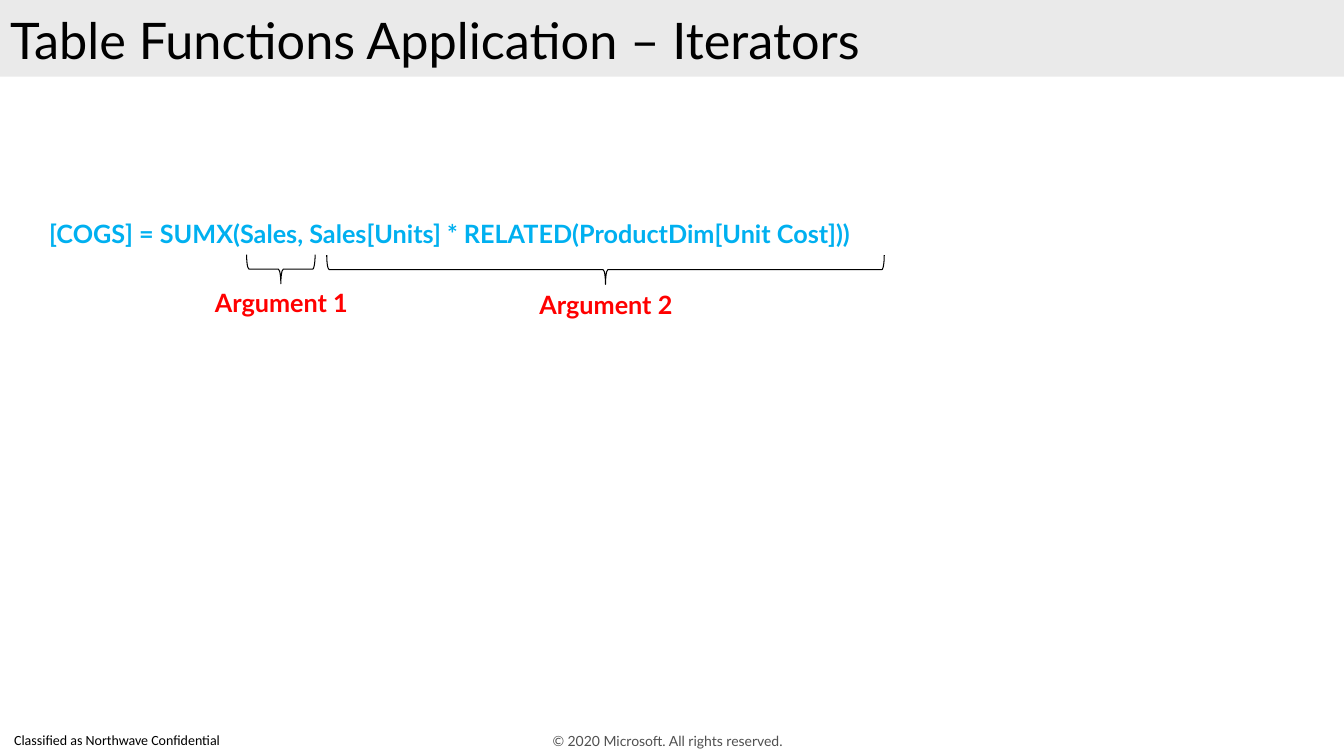
from typing import NamedTuple

from pptx import Presentation
from pptx.dml.color import RGBColor
from pptx.enum.shapes import MSO_SHAPE as Shape
from pptx.enum.text import MSO_ANCHOR as Anchor, MSO_AUTO_SIZE as Fit, PP_ALIGN as Align
from pptx.util import Emu, Pt

SCALE = 9144  # EMU per px, 100 px to the inch


class Box(NamedTuple):
    left: int
    top: int
    width: int
    height: int


class Part(NamedTuple):
    """One argument of the formula: brace centre, brace span, label top."""
    text: str
    mid: int
    span: int
    top: int


PARTS = [Part("Argument 2", 601, 553, 274), Part("Argument 1", 279, 68, 272)]


def px(box: Box) -> list[Emu]:
    return [Emu(n * SCALE) for n in box]


def color(code: str) -> RGBColor:
    return RGBColor.from_string(code)


def write(shape, text: str, *, size: int, ink: str, font: str = "Lato",
          bold: bool = False, align=Align.LEFT, anchor=Anchor.TOP,
          pad: tuple = (10, 5, 10, 5), lead: float = 1.0, after: int = 0) -> None:
    frame = shape.text_frame
    frame.word_wrap = True
    frame.auto_size = Fit.NONE
    frame.vertical_anchor = anchor
    (frame.margin_left, frame.margin_top,
     frame.margin_right, frame.margin_bottom) = [Emu(n * SCALE) for n in pad]
    para = frame.paragraphs[0]
    para.alignment = align
    para.line_spacing = lead
    para.space_before = Pt(0)
    para.space_after = Pt(after)
    run = para.add_run()
    run.text = text
    run.font.name = font
    run.font.size = Pt(size)
    run.font.bold = bold
    run.font.color.rgb = color(ink)


def label(shapes, box: Box, text: str, **style) -> None:
    write(shapes.add_textbox(*px(box)), text, **style)


def mark(slide, part: Part) -> None:
    """Draw the brace under an argument, with its label, as one group."""
    shapes = slide.shapes.add_group_shape().shapes
    box = Box(part.mid - 15, 267 - part.span // 2, 29, part.span)
    brace = shapes.add_shape(Shape.RIGHT_BRACE, *px(box))
    brace.rotation = 90
    brace.shadow.inherit = False
    brace.fill.background()
    brace.line.color.rgb = color("000000")
    brace.line.width = Pt(0.75)
    label(shapes, Box(part.mid - 149, part.top, 298, 60), part.text, size=18,
          ink="FF0000", bold=True, align=Align.CENTER, pad=(20, 16, 20, 16),
          lead=0.9, after=6)


def head(slide, text: str) -> None:
    title = slide.shapes.title
    title.left, title.top, title.width, title.height = px(Box(0, 4, 1253, 72))
    write(title, text, size=36, ink="000000")
    band = slide.shapes.add_shape(Shape.RECTANGLE, *px(Box(0, 0, 1333, 76)))
    band.shadow.inherit = False
    band.fill.solid()
    band.fill.fore_color.rgb = color("EAEAEA")
    band.line.fill.background()
    title.element.addprevious(band.element)


def main() -> None:
    deck = Presentation()
    deck.slide_width, deck.slide_height = Emu(1333 * SCALE), Emu(750 * SCALE)
    slide = deck.slides.add_slide(deck.slide_layouts[5])
    head(slide, "Table Functions Application – Iterators")
    label(slide.shapes, Box(39, 212, 1163, 40),
          "[COGS] = SUMX(Sales, Sales[Units] * RELATED(ProductDim[Unit Cost]))",
          size=18, ink="00B0F0", bold=True)
    for part in PARTS:
        mark(slide, part)
    label(slide.shapes, Box(0, 721, 232, 29), "Classified as Northwave Confidential",
          size=10, ink="000000", font="Calibri", align=Align.CENTER,
          anchor=Anchor.MIDDLE, pad=(0, 0, 0, 0), lead=0.9)
    label(slide.shapes, Box(442, 723, 450, 25),
          "© 2020 Microsoft. All rights reserved.", size=10, ink="505050",
          align=Align.CENTER, anchor=Anchor.MIDDLE, pad=(0, 0, 10, 0))
    deck.save("out.pptx")


if __name__ == "__main__":
    main()
